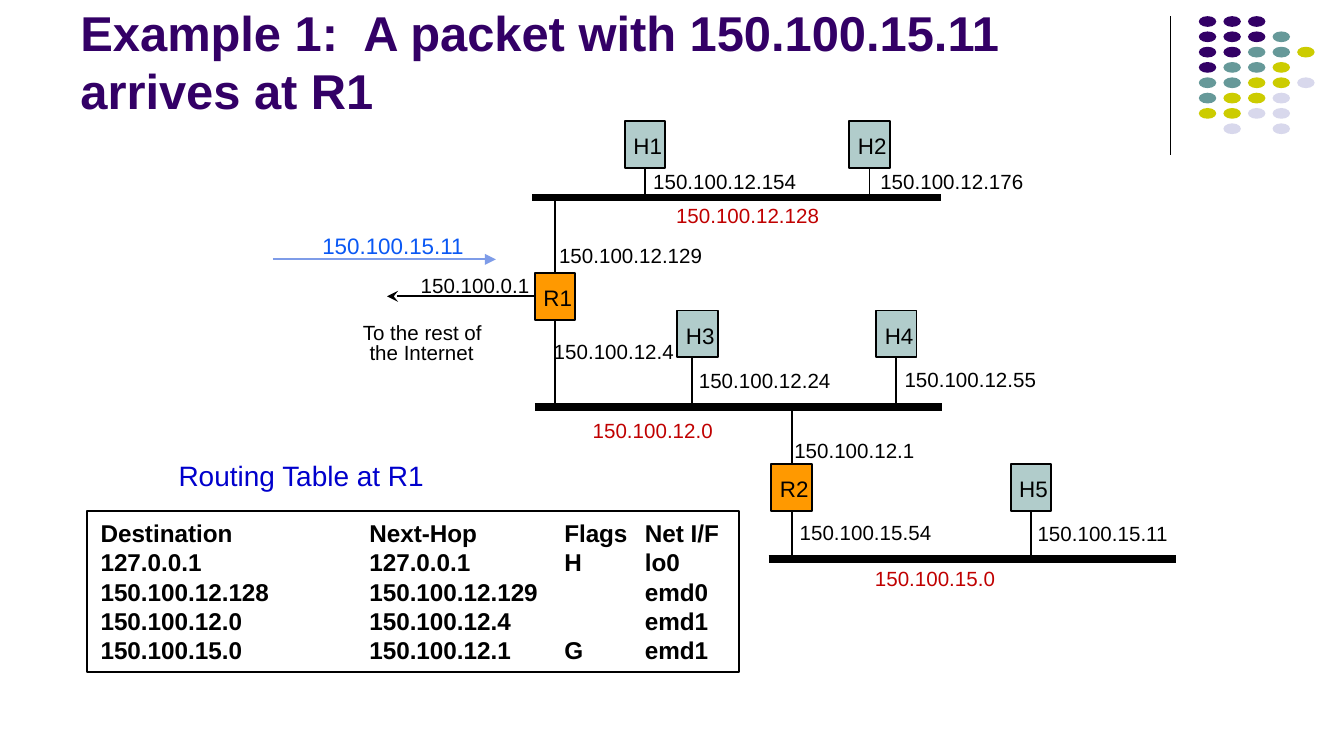
from pptx import Presentation
from pptx.dml.color import RGBColor
from pptx.enum.shapes import MSO_CONNECTOR, MSO_SHAPE
from pptx.enum.text import MSO_ANCHOR, MSO_AUTO_SIZE, PP_ALIGN
from pptx.oxml.ns import qn
from pptx.util import Inches, Pt
from lxml.etree import SubElement

BLACK = RGBColor(0x00, 0x00, 0x00)
PURPLE = RGBColor(0x33, 0x00, 0x66)
TEAL = RGBColor(0x66, 0x99, 0x99)
LIME = RGBColor(0xCC, 0xCC, 0x00)
PALE = RGBColor(0xD8, 0xD8, 0xEC)
ORANGE = RGBColor(0xFF, 0x99, 0x00)
MINT = RGBColor(0xB1, 0xCC, 0xCB)
RED = RGBColor(0xC0, 0x00, 0x00)
SKY = RGBColor(0x7E, 0x9C, 0xE8)
BLUE = RGBColor(0x0A, 0x58, 0xF4)
NAVY = RGBColor(0x00, 0x00, 0xCC)


class Page:
    font = "Arial"

    def __init__(self, slide):
        self.slide = slide

    def style(self, para, size, color=BLACK, bold=False):
        para.font.name = self.font
        para.font.size = Pt(size)
        para.font.bold = bold
        para.font.color.rgb = color

    def shape(self, kind, x, y, w, h, fill=None, edge=None):
        shape = self.slide.shapes.add_shape(
            kind, Inches(x), Inches(y), Inches(w), Inches(h))
        shape.shadow.inherit = False
        if fill is None:
            shape.fill.background()
        else:
            shape.fill.solid()
            shape.fill.fore_color.rgb = fill
        if edge is None:
            shape.line.fill.background()
        else:
            shape.line.color.rgb = edge
            shape.line.width = Pt(1)
        return shape

    def node(self, name, x, y, fill):
        box = self.shape(MSO_SHAPE.RECTANGLE, x, y, 0.3, 0.35, fill, BLACK)
        frame = box.text_frame
        frame.margin_left, frame.margin_right = Inches(0.04), 0
        frame.margin_top, frame.margin_bottom = Inches(0.02), 0
        frame.word_wrap = False
        frame.vertical_anchor = MSO_ANCHOR.MIDDLE
        para = frame.paragraphs[0]
        para.text = name
        para.alignment = PP_ALIGN.CENTER
        self.style(para, 12)
        return box

    def line(self, x1, y1, x2, y2, width=1, color=BLACK, head=None):
        link = self.slide.shapes.add_connector(
            MSO_CONNECTOR.STRAIGHT, Inches(x1), Inches(y1), Inches(x2), Inches(y2))
        link.line.color.rgb = color
        link.line.width = Pt(width)
        props = link.element.spPr
        if head:
            SubElement(props.find(qn("a:ln")), qn("a:tailEnd"), type=head)
        SubElement(props, qn("a:effectLst"))
        return link

    def drop(self, box, side, y):
        """Run a line straight from the top (0) or bottom (2) of a box to y."""
        mid = (box.left + box.width / 2) / Inches(1)
        self.line(mid, y, mid, y).begin_connect(box, side)

    def text(self, words, x, y, w, h, size, color=BLACK, bold=False,
             inset=True, wrap=False):
        box = self.slide.shapes.add_textbox(
            Inches(x), Inches(y), Inches(w), Inches(h))
        frame = box.text_frame
        frame.word_wrap = wrap
        if not wrap:
            frame.auto_size = MSO_AUTO_SIZE.SHAPE_TO_FIT_TEXT
        if not inset:
            frame.margin_left = frame.margin_right = 0
            frame.margin_top = frame.margin_bottom = 0
        para = frame.paragraphs[0]
        para.text = words
        self.style(para, size, color, bold)
        return frame

    def label(self, words, x, y, color=BLACK):
        width = 0.085 * len(words) - 0.1
        self.text(words, x, y, width, 0.19, 11, color, inset=False)

    def grid(self, rows, stops, x, y, w, h):
        box = self.shape(MSO_SHAPE.RECTANGLE, x, y, w, h, edge=BLACK)
        frame = box.text_frame
        frame.word_wrap = False
        frame.vertical_anchor = MSO_ANCHOR.MIDDLE
        for i, row in enumerate(rows):
            para = frame.add_paragraph() if i else frame.paragraphs[0]
            para.text = "\t".join(row)
            para.alignment = PP_ALIGN.LEFT
            para.line_spacing = Pt(15.7)
            tabs = SubElement(para._p.get_or_add_pPr(), qn("a:tabLst"))
            for stop in stops:
                SubElement(tabs, qn("a:tab"), pos=str(Inches(stop)), algn="l")
            self.style(para, 13, bold=True)


def main():
    deck = Presentation()
    deck.slide_width = Inches(10)
    deck.slide_height = deck.slide_width * 9 // 16
    page = Page(deck.slides.add_slide(deck.slide_layouts[6]))

    # Corner rule and dots
    page.line(8.71, 0.12, 8.71, 1.15, 0.75)
    tints = {"P": PURPLE, "T": TEAL, "L": LIME, "W": PALE}
    dots = ["PPP", "PPPT", "PPTTL", "PTTL", "TTLLW", "TLLW", "LLWW", " W W"]
    for j, row in enumerate(dots):
        for i, key in enumerate(row):
            if key in tints:
                page.shape(MSO_SHAPE.OVAL, 8.92 + 0.183 * i, 0.12 + 0.114 * j,
                           0.13, 0.08, tints[key])

    # Title
    title = page.text("Example 1:  A packet with 150.100.15.11 arrives at R1",
                      0.5, 0.1, 8.25, 0.84, 26.2, PURPLE, bold=True, wrap=True)
    title.vertical_anchor = MSO_ANCHOR.BOTTOM

    # Networks
    for x, y, end in [(3.96, 1.47, 7), (3.98, 3.03, 7.01), (5.72, 4.16, 8.75)]:
        page.line(x, y, end, y, 4.13)

    # Hosts and routers, each with its links (side, y of the network)
    nodes = [
        ("R1", 3.98, 2.03, ORANGE, [(0, 1.47), (2, 3.03)]),
        ("H1", 4.65, 0.9, MINT, [(2, 1.47)]),
        ("H2", 6.32, 0.9, MINT, [(2, 1.47)]),
        ("H3", 5.04, 2.31, MINT, []),
        ("H4", 6.52, 2.31, MINT, [(2, 3.03)]),
        ("R2", 5.74, 3.45, ORANGE, [(0, 3.03), (2, 4.16)]),
        ("H5", 7.52, 3.45, MINT, [(2, 4.16)]),
    ]
    boxes = {}
    for name, x, y, fill, links in nodes:
        boxes[name] = page.node(name, x, y, fill)
        for side, end in links:
            page.drop(boxes[name], side, end)
    page.line(5.15, 2.66, 5.15, 3.03)

    # Way out and incoming packet
    mid = 2.03 + 0.35 / 2
    page.line(3.98, mid, 2.88, mid, head="stealth").begin_connect(boxes["R1"], 1)
    page.line(2.03, 1.93, 3.69, 1.93, color=SKY, head="triangle")
    page.text("150.100.15.11", 2.3, 1.68, 1.26, 0.3, 12, BLUE)
    page.text("To the rest of", 2.7, 2.38, 0.93, 0.19, 11, inset=False)
    page.text("the Internet", 2.75, 2.53, 0.8, 0.19, 11, inset=False)

    # Interface addresses
    for words, x, y in [
        ("150.100.0.1", 3.13, 2.03), ("150.100.12.176", 6.55, 1.26),
        ("150.100.12.154", 4.86, 1.26), ("150.100.12.24", 5.2, 2.74),
        ("150.100.12.55", 6.73, 2.73), ("150.100.12.1", 5.91, 3.26),
        ("150.100.15.54", 5.95, 3.87), ("150.100.15.11", 7.72, 3.88),
        ("150.100.12.129", 4.16, 1.81), ("150.100.12.4", 4.12, 2.52),
    ]:
        page.label(words, x, y)

    # Network addresses
    for words, x, y in [("150.100.12.128", 5.03, 1.51),
                        ("150.100.12.0", 4.41, 3.11),
                        ("150.100.15.0", 6.51, 4.21)]:
        page.label(words, x, y, RED)

    # Routing table
    page.text("Routing Table at R1", 1.23, 3.36, 2.05, 0.35, 15, NAVY)
    page.grid([
        ("Destination", "Next-Hop", "Flags", "Net I/F"),
        ("127.0.0.1", "127.0.0.1", "H", "lo0"),
        ("150.100.12.128", "150.100.12.129", "", "emd0"),
        ("150.100.12.0", "150.100.12.4", "", "emd1"),
        ("150.100.15.0", "150.100.12.1", "G", "emd1"),
    ], (2, 3.45, 4.05), 0.65, 3.8, 4.85, 1.2)

    deck.save("out.pptx")


if __name__ == "__main__":
    main()
